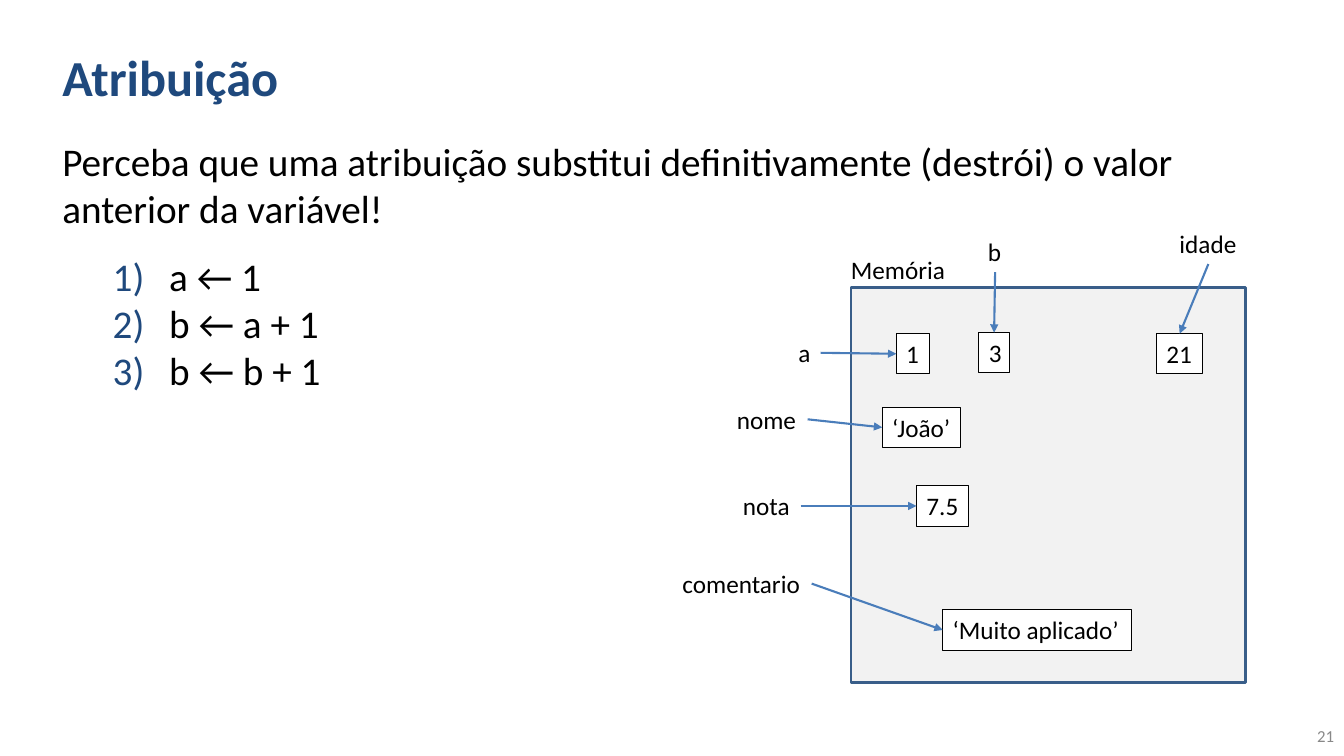
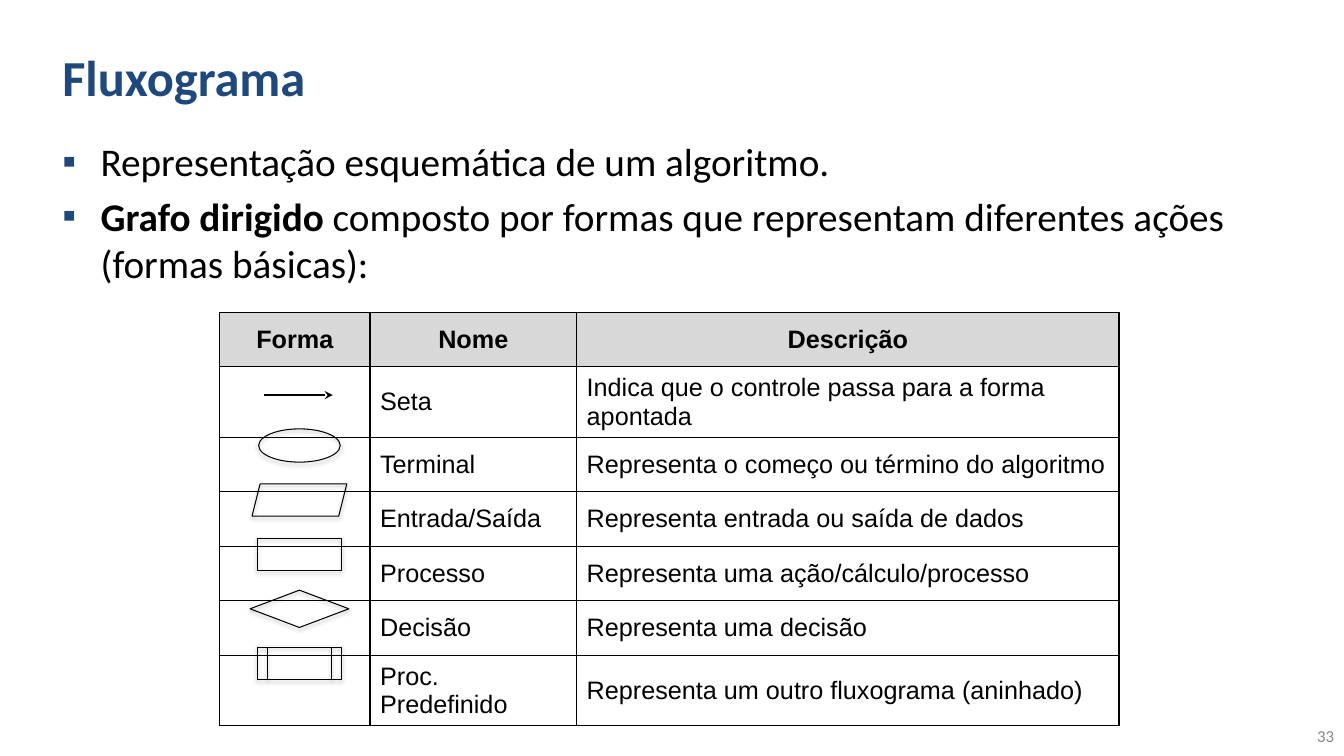
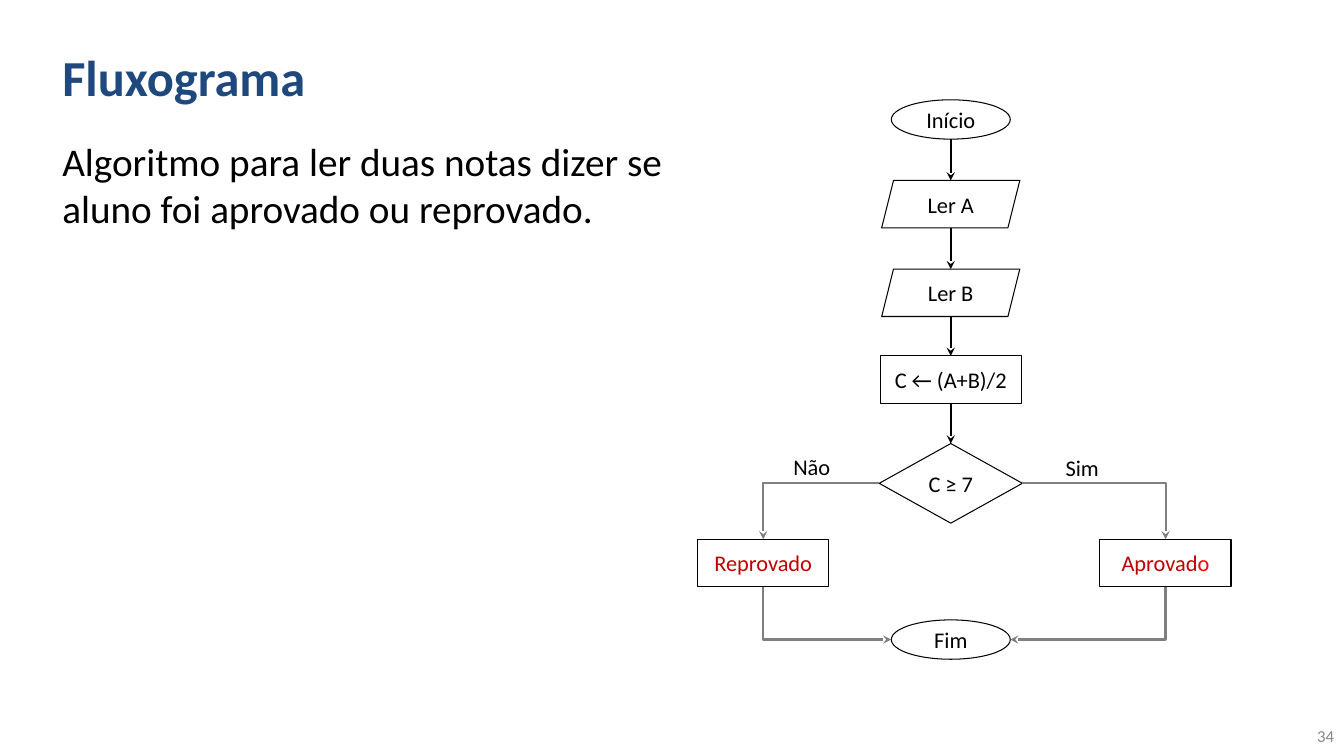
from lxml.etree import SubElement
from pptx import Presentation
from pptx.dml.color import RGBColor
from pptx.enum.shapes import MSO_CONNECTOR, MSO_SHAPE, MSO_SHAPE_TYPE
from pptx.enum.text import MSO_ANCHOR, MSO_AUTO_SIZE, PP_ALIGN
from pptx.oxml.ns import qn
from pptx.util import Inches, Pt

NAVY = RGBColor(0x1F, 0x49, 0x7D)
BLUE = RGBColor(0x4A, 0x7D, 0xBA)
FRAME_BLUE = RGBColor(0x39, 0x5E, 0x89)
BLACK = RGBColor(0x00, 0x00, 0x00)
WHITE = RGBColor(0xFF, 0xFF, 0xFF)
GRAY = RGBColor(0x7F, 0x7F, 0x7F)
NUMBER_GRAY = RGBColor(0x88, 0x88, 0x88)
HEADER_GRAY = RGBColor(0xD8, 0xD8, 0xD8)
MEMORY_GRAY = RGBColor(0xF2, 0xF2, 0xF2)
DARK_RED = RGBColor(0xC0, 0x00, 0x00)
RED = RGBColor(0xFF, 0x00, 0x00)

# Text formats shared by the slides
TITLE = {"name": "Calibri", "size": Pt(36), "bold": True}
BODY = {"name": "Calibri", "size": Pt(28)}
LABEL = {"name": "Calibri", "size": Pt(18)}
FLOW = {"name": "Calibri", "size": Pt(16)}
NUMBER = {"name": "Calibri", "size": Pt(12)}
CELL = {"name": "Arial", "size": Pt(18), "bold": False}

BODY_BOX = (0.52, 1.31, 12.4, 1.23)
TOP, LEFT, BOTTOM, RIGHT = range(4)


def apply(target, formats):
    for name, value in formats.items():
        setattr(target, name, value)


def add_span(para, text, formats, color=BLACK):
    span = para.add_run()
    span.text = text
    apply(span.font, formats)
    span.font.color.rgb = color


def add_text(page, box, text, formats, color=BLACK, frame=None, align=PP_ALIGN.LEFT):
    """Add a text box with one paragraph; line feeds become line breaks."""
    shape = page.shapes.add_textbox(*map(Inches, box))
    apply(shape.text_frame, {"word_wrap": True, **(frame or {})})
    para = shape.text_frame.paragraphs[0]
    para.alignment = align
    for index, line in enumerate(text.split("\n")):
        if index:
            para.add_line_break()
        add_span(para, line, formats, color)
    return shape


def add_bullet(para, tag, attributes, margin, hanging):
    properties = para._p.get_or_add_pPr()
    properties.set("marL", str(Inches(margin)))
    properties.set("indent", str(-Inches(hanging)))
    color = SubElement(properties, qn("a:buClr"))
    SubElement(color, qn("a:srgbClr"), val=str(NAVY))
    SubElement(properties, qn("a:buFont"), typeface="Arial")
    SubElement(properties, qn(tag), attributes)


def add_page(deck, title, number):
    page = deck.slides.add_slide(deck.slide_layouts[6])
    middle = {"vertical_anchor": MSO_ANCHOR.MIDDLE}
    add_text(page, (0.52, 0.13, 10.58, 1.25), title, TITLE, NAVY, middle)
    add_text(page, (11, 7.1, 2.33, 0.4), str(number), NUMBER, NUMBER_GRAY,
             middle, PP_ALIGN.RIGHT)
    return page


def add_label(page, text, box, formats=LABEL):
    fit = {"word_wrap": False, "auto_size": MSO_AUTO_SIZE.SHAPE_TO_FIT_TEXT}
    return add_text(page, box, text, formats, frame=fit)


def add_value(page, text, box):
    value = add_label(page, text, box)
    value.fill.solid()
    value.fill.fore_color.rgb = WHITE
    value.line.color.rgb = BLACK
    value.line.width = Pt(0.75)
    return value


def add_outline(page, kind, box, color=BLACK, width=0.75):
    shape = page.shapes.add_shape(kind, *map(Inches, box))
    shape.shadow.inherit = False
    shape.fill.background()
    shape.line.color.rgb = color
    shape.line.width = Pt(width)
    return shape


def add_soft_shadow(shape):
    effects = shape._element.spPr.find(qn("a:effectLst"))
    shadow = SubElement(effects, qn("a:outerShdw"), blurRad=str(Pt(3.1)),
                        dist=str(Pt(1.8)), dir="5400000", rotWithShape="0")
    color = SubElement(shadow, qn("a:srgbClr"), val=str(BLACK))
    SubElement(color, qn("a:alpha"), val="35000")


def style_line(line, color, arrow, end="a:tailEnd"):
    line.line.color.rgb = color
    line.line.width = Pt(1.5)
    SubElement(line.line._get_or_add_ln(), qn(end), type=arrow)
    SubElement(line._element.spPr, qn("a:effectLst"))


def side_point(shape, side):
    """Give the middle of one side of a shape."""
    x = {LEFT: 0, RIGHT: shape.width}.get(side, shape.width // 2)
    y = {TOP: 0, BOTTOM: shape.height}.get(side, shape.height // 2)
    return shape.left + x, shape.top + y


def join(line, tag, connect, shape, side):
    """Join a line's end to a shape; ovals have twice as many sites."""
    kind = None
    if shape.shape_type != MSO_SHAPE_TYPE.TEXT_BOX:
        kind = shape.auto_shape_type
    if kind == MSO_SHAPE.PARALLELOGRAM:
        return
    connect(shape, side)
    if kind == MSO_SHAPE.OVAL:
        line._element.find(".//" + qn(tag)).set("idx", str(side * 2))


def link(page, start, end, color, arrow, bent=False, arrow_end="a:tailEnd"):
    """Draw an arrow between two (shape, side) pairs."""
    kind = MSO_CONNECTOR.ELBOW if bent else MSO_CONNECTOR.STRAIGHT
    line = page.shapes.add_connector(kind, *side_point(*start), *side_point(*end))
    if bent:
        line._element.spPr.find(qn("a:prstGeom")).set("prst", "bentConnector2")
    join(line, "a:stCxn", line.begin_connect, *start)
    join(line, "a:endCxn", line.end_connect, *end)
    style_line(line, color, arrow, arrow_end)


def build_assignment(deck):
    page = add_page(deck, "Atribuição", 21)
    add_text(page, BODY_BOX, "Perceba que uma atribuição substitui definitivamente "
             "(destrói) o valor anterior da variável!", BODY)

    # Numbered statements
    steps = add_text(page, (0.52, 2.45, 2.83, 1.51), "a ← 1", BODY,
                     frame={"word_wrap": False}).text_frame
    for text in ("b ← a + 1", "b ← b + 1"):
        add_span(steps.add_paragraph(), text, BODY)
    for para in steps.paragraphs:
        para.level = 1
        add_bullet(para, "a:buAutoNum", {"type": "arabicParenR"}, 1.06, 0.56)

    # Memory area
    memory = add_outline(page, MSO_SHAPE.RECTANGLE, (8.44, 2.85, 3.91, 3.92),
                         FRAME_BLUE, 2)
    memory.fill.solid()
    memory.fill.fore_color.rgb = MEMORY_GRAY
    add_label(page, "Memória", (8.34, 2.47, 1.15, 0.4))

    # Variables: name, its left, top, width; value, its left, top, width; sides
    across, down = (RIGHT, LEFT), (BOTTOM, TOP)
    variables = [
        ("a", 7.82, 3.3, 0.32, "1", 8.89, 3.31, 0.33, across),
        ("b", 9.7, 2.3, 0.34, "3", 9.71, 3.3, 0.3, down),
        ("idade", 11.6, 2.22, 0.77, "21", 11.47, 3.31, 0.46, down),
        ("nome", 7.21, 3.96, 0.8, "‘João’", 8.75, 4.04, 0.78, across),
        ("nota", 7.27, 4.82, 0.67, "7.5", 9.09, 4.82, 0.52, across),
        ("comentario", 6.67, 5.59, 1.38, "‘Muito aplicado’", 9.35, 6.05, 1.87, across),
    ]
    for name, x, y, w, content, value_x, value_y, value_w, sides in variables:
        label = add_label(page, name, (x, y, w, 0.4))
        value = add_value(page, content, (value_x, value_y, value_w, 0.4))
        link(page, (label, sides[0]), (value, sides[1]), BLUE, "triangle")


def fill_cell(cell, text, header):
    cell.fill.solid()
    cell.fill.fore_color.rgb = HEADER_GRAY if header else WHITE
    cell.vertical_anchor = MSO_ANCHOR.MIDDLE
    if text:
        para = cell.text_frame.paragraphs[0]
        para.alignment = PP_ALIGN.CENTER if header else PP_ALIGN.LEFT
        add_span(para, text, {**CELL, "bold": header})
    properties = cell._tc.get_or_add_tcPr()
    for index, tag in enumerate(("a:lnL", "a:lnR", "a:lnT", "a:lnB")):
        border = SubElement(properties, qn(tag), w=str(Pt(1)))
        fill = SubElement(border, qn("a:solidFill"))
        SubElement(fill, qn("a:srgbClr"), val=str(BLACK))
        properties.insert(index, border)


def build_shapes_table(deck):
    page = add_page(deck, "Fluxograma", 33)
    body = add_text(page, BODY_BOX, "Representação esquemática de um algoritmo.",
                    BODY).text_frame
    para = body.add_paragraph()
    para.space_before = Pt(5.6)
    add_span(para, "Grafo dirigido ", {**BODY, "bold": True})
    add_span(para, "composto por formas que representam diferentes ações "
             "(formas básicas):", BODY)
    for para in body.paragraphs:
        add_bullet(para, "a:buChar", {"char": "▪"}, 0.38, 0.38)

    # Table of shapes
    rows = [
        ("Forma", "Nome", "Descrição"),
        ("", "Seta", "Indica que o controle passa para a forma apontada"),
        ("", "Terminal", "Representa o começo ou término do algoritmo"),
        ("", "Entrada/Saída", "Representa entrada ou saída de dados"),
        ("", "Processo", "Representa uma ação/cálculo/processo"),
        ("", "Decisão", "Representa uma decisão"),
        ("", "Proc. Predefinido", "Representa um outro fluxograma (aninhado)"),
    ]
    widths = (1.49, 2.05, 5.38)
    row_height = 0.54
    size = (2.18, 3.1, sum(widths), row_height * len(rows))
    table = page.shapes.add_table(len(rows), len(widths), *map(Inches, size)).table
    for column, width in zip(table.columns, widths):
        column.width = Inches(width)
    for row_index, row in enumerate(rows):
        table.rows[row_index].height = Inches(row_height)
        for column_index, text in enumerate(row):
            fill_cell(table.cell(row_index, column_index), text, row_index == 0)

    # Symbols in the first column
    arrow = page.shapes.add_connector(
        MSO_CONNECTOR.STRAIGHT, *map(Inches, (2.62, 3.92, 3.3, 3.92)))
    style_line(arrow, BLACK, "stealth")
    symbols = [
        (MSO_SHAPE.OVAL, 0.81, 0.33),
        (MSO_SHAPE.PARALLELOGRAM, 0.94, 0.32),
        (MSO_SHAPE.RECTANGLE, 0.84, 0.32),
        (MSO_SHAPE.DIAMOND, 0.98, 0.37),
        (MSO_SHAPE.FLOWCHART_PREDEFINED_PROCESS, 0.84, 0.32),
    ]
    for index, (kind, width, height) in enumerate(symbols):
        middle = 4.42 + index * row_height
        box = (2.97 - width / 2, middle - height / 2, width, height)
        add_soft_shadow(add_outline(page, kind, box))


def add_step(page, kind, center, top, width, height, *spans):
    step = add_outline(page, kind, (center - width / 2, top, width, height))
    apply(step.text_frame, {"word_wrap": False, "vertical_anchor": MSO_ANCHOR.MIDDLE})
    para = step.text_frame.paragraphs[0]
    para.alignment = PP_ALIGN.CENTER
    for text, color in spans:
        add_span(para, text, FLOW, color)
    return step


def build_flowchart(deck):
    page = add_page(deck, "Fluxograma", 34)
    add_text(page, BODY_BOX, "Algoritmo para ler duas notas dizer se \n"
             "aluno foi aprovado ou reprovado.", BODY)

    # Main column
    center = 9.43
    column = [
        (MSO_SHAPE.OVAL, 0.99, 1.18, 0.39, "Início"),
        (MSO_SHAPE.PARALLELOGRAM, 1.79, 1.37, 0.47, "Ler A"),
        (MSO_SHAPE.PARALLELOGRAM, 2.67, 1.37, 0.47, "Ler B"),
        (MSO_SHAPE.RECTANGLE, 3.53, 1.4, 0.47, "C ← (A+B)/2"),
        (MSO_SHAPE.DIAMOND, 4.4, 1.42, 0.79, "C ≥ 7"),
    ]
    steps = [add_step(page, kind, center, top, width, height, (text, BLACK))
             for kind, top, width, height, text in column]
    for upper, lower in zip(steps, steps[1:]):
        link(page, (upper, BOTTOM), (lower, TOP), BLACK, "stealth")
    decision = steps[-1]
    finish = add_step(page, MSO_SHAPE.OVAL, center, 6.15, 1.18, 0.39, ("Fim", BLACK))

    # Branches
    branches = [
        (LEFT, 7.57, [("Reprovado", DARK_RED)], "Não", (7.77, 4.45, 0.57, 0.37)),
        (RIGHT, 11.56, [("Aprovad", DARK_RED), ("o", RED)], "Sim",
         (10.47, 4.46, 0.54, 0.37)),
    ]
    for side, x, spans, answer, answer_box in branches:
        result = add_step(page, MSO_SHAPE.RECTANGLE, x, 5.35, 1.3, 0.47, *spans)
        add_label(page, answer, answer_box, FLOW)
        link(page, (decision, side), (result, TOP), GRAY, "stealth", bent=True)
        link(page, (finish, side), (result, BOTTOM), GRAY, "stealth", bent=True,
             arrow_end="a:headEnd")


def main():
    deck = Presentation()
    deck.slide_width, deck.slide_height = Inches(13.33), Inches(7.5)
    build_assignment(deck)
    build_shapes_table(deck)
    build_flowchart(deck)
    deck.save("out.pptx")


if __name__ == "__main__":
    main()
